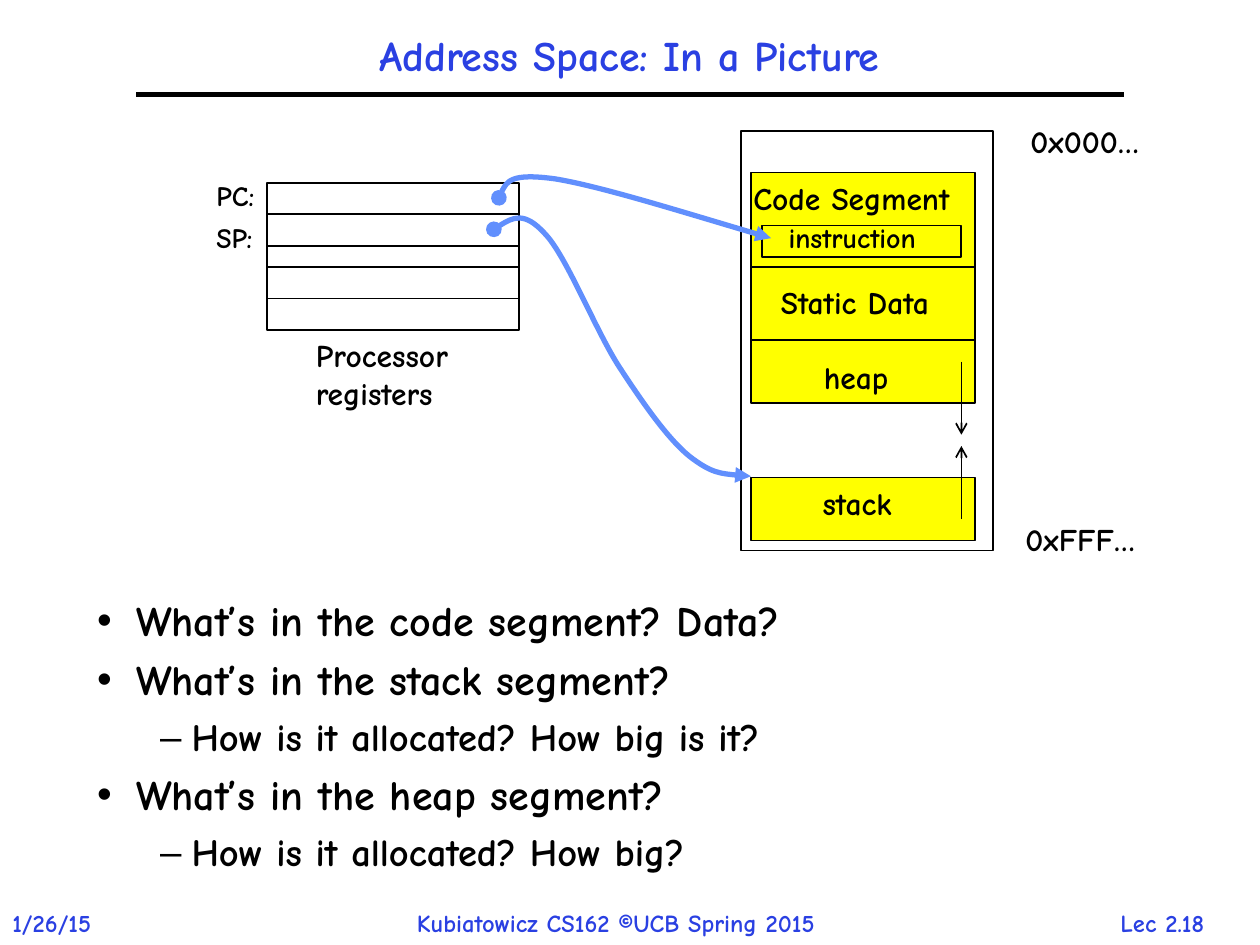
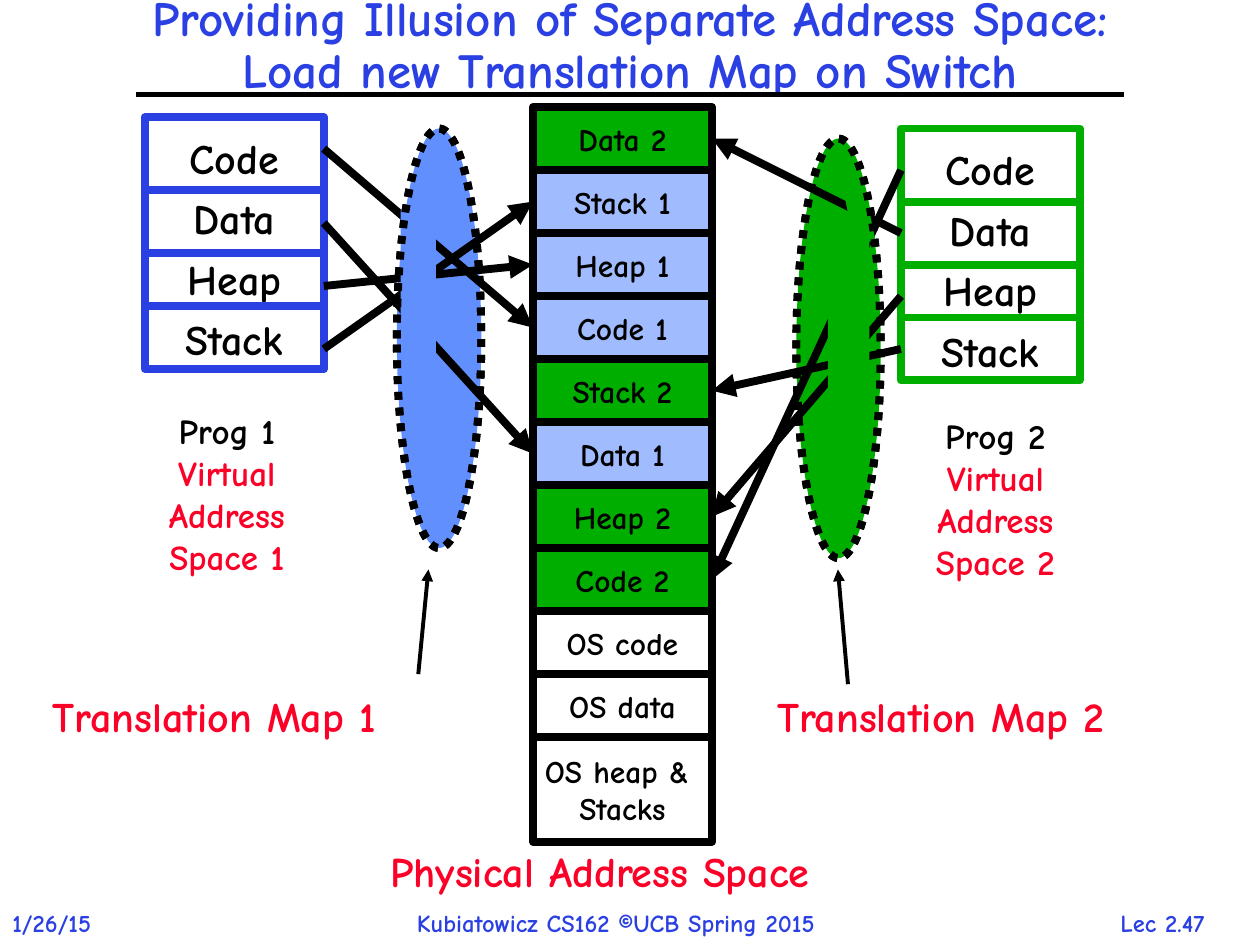
from lxml.etree import SubElement
from pptx import Presentation
from pptx.dml.color import RGBColor
from pptx.enum.dml import MSO_LINE
from pptx.enum.shapes import MSO_CONNECTOR, MSO_SHAPE
from pptx.enum.text import MSO_ANCHOR, MSO_AUTO_SIZE, PP_ALIGN
from pptx.oxml.ns import qn
from pptx.util import Inches, Pt

COLORS = {
    "black": "000000",
    "white": "FFFFFF",
    "title": "2A40E2",
    "red": "FC0128",
    "yellow": "FFFF00",
    "blue": "618FFD",
    "pale": "A0BCFE",
    "green": "00AE00",
}
FONT = "Comic Neue"
LEFT_SIDE, RIGHT_SIDE = 1, 3


def rgb(name):
    return RGBColor.from_string(COLORS[name])


def inches(values):
    return [Inches(value) for value in values]


class LectureDeck:
    def __init__(self):
        self.deck = Presentation()
        self.deck.slide_width, self.deck.slide_height = inches((10, 7.5))
        self.page = None

    def add_page(self, layout, number):
        self.page = self.deck.slides.add_slide(self.deck.slide_layouts[layout])
        self.text((8.62, 7.16, 1.21, 0.33), [f"Lec 2.{number}"], 14, "title", PP_ALIGN.CENTER)
        self.text((0, 7.16, 1, 0.34), ["1/26/15"], 14, "title")
        self.line((1.08, 0.75), (8.92, 0.75), width=3)
        self.text((3.21, 7.16, 3.87, 0.34), ["Kubiatowicz CS162 ©UCB Spring 2015"], 14, "title")

    def span(self, para, text, size, color):
        span = para.add_run()
        span.text = text
        span.font.name = FONT
        span.font.size = Pt(size)
        span.font.bold = True
        span.font.color.rgb = rgb(color)

    def paragraphs(self, frame, lines, size, color, align, spacing=None, rest_color=None):
        for index, text in enumerate(lines):
            para = frame.add_paragraph() if index else frame.paragraphs[0]
            para.alignment = align
            if spacing:
                para.line_spacing = spacing
            self.span(para, text, size, rest_color if index and rest_color else color)

    def place(self, box, bounds):
        box.left, box.top, box.width, box.height = inches(bounds)

    def title(self, bounds, lines, size):
        box = self.page.shapes.title
        self.place(box, bounds)
        frame = box.text_frame
        frame.auto_size = MSO_AUTO_SIZE.NONE
        frame.vertical_anchor = MSO_ANCHOR.MIDDLE
        para = frame.paragraphs[0]
        para.alignment = PP_ALIGN.CENTER
        para.line_spacing = 0.9
        for index, text in enumerate(lines):
            if index:
                para.add_line_break()
            self.span(para, text, size, "title")

    def bullets(self, bounds, items):
        styles = [("•", 0.31, -0.31, 24), ("–", 0.75, -0.25, 22)]
        box = self.page.placeholders[1]
        self.place(box, bounds)
        frame = box.text_frame
        frame.auto_size = MSO_AUTO_SIZE.NONE
        frame.vertical_anchor = MSO_ANCHOR.TOP
        for index, (level, text) in enumerate(items):
            mark, margin, indent, size = styles[level]
            para = frame.add_paragraph() if index else frame.paragraphs[0]
            para.level = level
            properties = para._p.get_or_add_pPr()
            properties.set("marL", str(Inches(margin)))
            properties.set("indent", str(Inches(indent)))
            SubElement(properties, qn("a:buChar")).set("char", mark)
            para.line_spacing = 0.9
            para.space_before = Pt(8 if index else 0)
            self.span(para, text, size, "black")

    def text(self, bounds, lines, size, color="black", align=PP_ALIGN.LEFT, rest_color=None):
        box = self.page.shapes.add_textbox(*inches(bounds))
        frame = box.text_frame
        frame.word_wrap = False
        frame.auto_size = MSO_AUTO_SIZE.SHAPE_TO_FIT_TEXT
        self.paragraphs(frame, lines, size, color, align, rest_color=rest_color)

    def paint(self, shape, fill, line, width):
        shape.shadow.inherit = False
        if fill:
            shape.fill.solid()
            shape.fill.fore_color.rgb = rgb(fill)
        else:
            shape.fill.background()
        if line:
            shape.line.color.rgb = rgb(line)
            shape.line.width = Pt(width)
        else:
            shape.line.fill.background()

    def shape(self, bounds, fill=None, line="black", width=1, kind=MSO_SHAPE.RECTANGLE):
        shape = self.page.shapes.add_shape(kind, *inches(bounds))
        self.paint(shape, fill, line, width)
        return shape

    def labelled(self, bounds, lines, size, fill, line="black", spacing=None):
        shape = self.shape(bounds, fill, line, 4.5)
        frame = shape.text_frame
        frame.word_wrap = False
        frame.vertical_anchor = MSO_ANCHOR.MIDDLE
        self.paragraphs(frame, lines, size, "black", PP_ALIGN.CENTER, spacing)
        return shape

    def ellipse(self, bounds, fill=None):
        shape = self.shape(bounds, fill, width=4.5, kind=MSO_SHAPE.OVAL)
        shape.line.dash_style = MSO_LINE.ROUND_DOT

    def arrowhead(self, line, end, kind):
        SubElement(line.line._get_or_add_ln(), qn(f"a:{end}End")).set("type", kind)

    def line(self, start, end, color="black", width=1, tail=None, target=None, side=None):
        line = self.page.shapes.add_connector(MSO_CONNECTOR.STRAIGHT, *inches(start + end))
        line.line.color.rgb = rgb(color)
        line.line.width = Pt(width)
        if tail:
            self.arrowhead(line, "tail", tail)
        if target is not None:
            line.end_connect(target, side)
        SubElement(line._element.spPr, qn("a:effectLst"))

    def curve(self, points):
        start, *rest = [tuple(inches(point)) for point in points]
        builder = self.page.shapes.build_freeform(*start)
        builder.add_line_segments(rest, close=False)
        curve = builder.convert_to_shape()
        outline = next(curve._element.iter(qn("a:path")))
        steps = outline.findall(qn("a:lnTo"))
        for first in range(0, len(steps), 3):
            bend = SubElement(outline, qn("a:cubicBezTo"))
            for step in steps[first:first + 3]:
                bend.append(step[0])
                outline.remove(step)
        self.paint(curve, None, "blue", 3)
        self.arrowhead(curve, "head", "oval")
        self.arrowhead(curve, "tail", "triangle")


def address_space_page(lecture):
    lecture.add_page(1, 18)
    lecture.title((1.08, 0.17, 7.83, 0.58), ["Address Space: In a Picture"], 24)

    for top, height in [(1.45, 1.17), (1.7, 0.25), (2.12, 0.25)]:
        lecture.shape((2.12, top, 2, height))
    lecture.text((2.41, 2.62, 1.34, 0.71), ["Processor", "registers"], 18)
    for name, top in [("PC:", 1.37), ("SP:", 1.7)]:
        lecture.text((1.62, top, 0.57, 0.37), [name], 16)

    lecture.shape((5.88, 1.04, 2, 3.33))
    lecture.text((8.08, 0.92, 1.14, 0.4), ["0x000…"], 18)
    lecture.text((8.04, 4.08, 1.18, 0.4), ["0xFFF…"], 18)
    segments = [
        ("Code Segment", 1.37, 0.75, 5.88, 1.37, 1.89),
        ("Static Data", 2.12, 0.58, 6.1, 2.2, 1.44),
        ("heap", 2.7, 0.5, 6.44, 2.79, 0.76),
        ("stack", 3.79, 0.5, 6.43, 3.79, 0.79),
    ]
    for name, top, height, text_left, text_top, text_width in segments:
        lecture.shape((5.96, top, 1.78, height), "yellow")
        lecture.text((text_left, text_top, text_width, 0.4), [name], 18)
    for start, end in [(4.12, 3.54), (2.87, 3.45)]:
        lecture.line((7.63, start), (7.63, end), tail="arrow")
    lecture.shape((6.05, 1.79, 1.58, 0.25))
    lecture.text((6.16, 1.7, 1.21, 0.37), ["instruction"], 16)

    lecture.bullets((0.67, 4.71, 8.52, 2.62), [
        (0, "What’s in the code segment? Data?"),
        (0, "What’s in the stack segment?"),
        (1, "How is it allocated? How big is it?"),
        (0, "What’s in the heap segment?"),
        (1, "How is it allocated? How big?"),
    ])
    lecture.curve([
        (3.92, 1.82), (4.04, 1.74), (4.16, 1.67), (4.33, 1.86),
        (4.5, 2.04), (4.73, 2.63), (4.92, 2.92),
        (5.11, 3.21), (5.3, 3.48), (5.47, 3.62),
        (5.65, 3.76), (5.8, 3.77), (5.96, 3.78),
    ])
    lecture.curve([
        (3.96, 1.57), (4, 1.47), (4.05, 1.37), (4.41, 1.42),
        (4.77, 1.48), (5.44, 1.69), (6.12, 1.89),
    ])


def translation_page(lecture):
    lecture.add_page(5, 47)
    first_map, second_map = (3.15, 1.02, 0.67, 3.33), (6.32, 1.1, 0.67, 3.33)
    lecture.ellipse(second_map, "green")
    lecture.ellipse(first_map, "blue")
    lecture.title((0, 0.08, 10, 0.58), [
        "Providing Illusion of Separate Address Space:",
        "Load new Translation Map on Switch",
    ], 28)

    programs = [(1, 1.15, 0.93, "title", 1.14, 3.2), (2, 7.15, 1.02, "green", 7.24, 3.24)]
    for number, left, top, color, text_left, text_top in programs:
        lecture.text((text_left, text_top, 1.32, 1.45),
                     [f"Prog {number}", "Virtual", "Address", f"Space {number}"],
                     20, align=PP_ALIGN.CENTER, rest_color="red")
        lecture.labelled((left, top, 1.42, 2), ["Code", "Data", "Heap", "Stack"],
                         24, "white", color, 1.2)
        for offset in (0.58, 1.08, 1.5):
            lecture.line((left, top + offset), (left + 1.42, top + offset), color, 4.5)

    fills = {"1": "pale", "2": "green"}
    names = ["Data 2", "Stack 1", "Heap 1", "Code 1", "Stack 2", "Data 1",
             "Heap 2", "Code 2", "OS code", "OS data"]
    cells = {}
    for row, name in enumerate(names):
        cells[name] = lecture.labelled((4.23, 0.85 + 0.5 * row, 1.42, 0.5), [name],
                                       18, fills.get(name[-1], "white"))
    lecture.labelled((4.23, 5.85, 1.42, 0.83), ["OS heap & ", "Stacks"], 18, "white")

    mappings = [
        (2.57, LEFT_SIDE, [("Code 1", 1.18), ("Data 1", 1.77), ("Heap 1", 2.27), ("Stack 1", 2.77)]),
        (7.15, RIGHT_SIDE, [("Code 2", 1.35), ("Data 2", 1.85), ("Heap 2", 2.35), ("Stack 2", 2.77)]),
    ]
    for left, side, starts in mappings:
        for name, top in starts:
            lecture.line((left, top), (left, top), width=4.5, tail="triangle",
                         target=cells[name], side=side)

    lecture.shape((3.18, 1.67, 0.28, 1.5), "blue", None)
    lecture.ellipse(first_map)
    lecture.shape((6.57, 1.85, 0.33, 1.58), "green", None)
    lecture.shape((6.73, 1.43, 0.17, 0.5), "green", None).rotation = 348.5
    lecture.ellipse(second_map)

    for number, left in [(1, 0.32), (2, 6.07)]:
        lecture.text((left, 5.43, 3.15, 0.5), [f"Translation Map {number}"], 24, "red")
    for start, end in [((3.32, 5.35), (3.4, 4.52)), ((6.73, 5.43), (6.65, 4.52))]:
        lecture.line(start, end, width=2.25, tail="triangle")
    lecture.text((3, 6.66, 4.08, 0.51), ["Physical Address Space"], 24, "red")


def main():
    lecture = LectureDeck()
    address_space_page(lecture)
    translation_page(lecture)
    lecture.deck.save("out.pptx")


if __name__ == "__main__":
    main()
